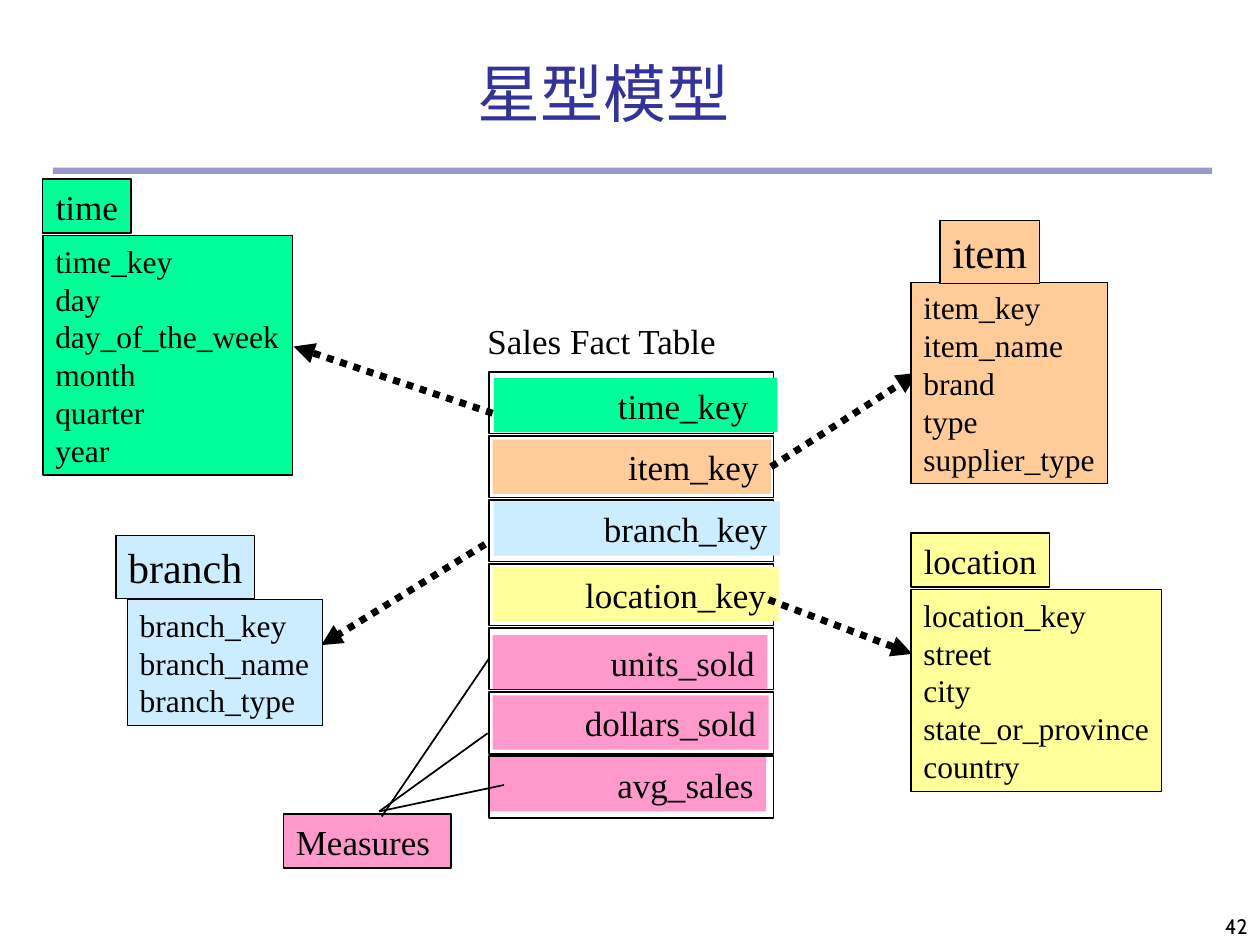
from lxml.etree import SubElement
from pptx import Presentation
from pptx.dml.color import RGBColor
from pptx.enum.dml import MSO_LINE
from pptx.enum.shapes import MSO_CONNECTOR as CONN, MSO_SHAPE as SHAPE
from pptx.enum.text import MSO_ANCHOR as ANCHOR, MSO_AUTO_SIZE as AUTO, PP_ALIGN as ALIGN
from pptx.oxml.ns import qn
from pptx.util import Inches, Pt

GREEN, ORANGE, BLUE, YELLOW, PINK = "00FF99", "FFCC99", "CCECFF", "FFFF99", "FF99CC"
BLACK, NAVY = "000000", "333399"
SERIF = "Times New Roman"

# Dimension tables: fill, fields, field box, name, name size, name box
DIMENSIONS = [
    (GREEN, ["time_key", "day", "day_of_the_week", "month", "quarter", "year"],
     (0.34, 1.87, 1.98, 1.9), "time", 20, (0.34, 1.42, 0.7, 0.43)),
    (YELLOW, ["location_key", "street", "city", "state_or_province", "country"],
     (7.23, 4.68, 1.99, 1.6), "location", 20, (7.23, 4.23, 1.1, 0.43)),
    (ORANGE, ["item_key", "item_name", "brand", "type", "supplier_type"],
     (7.23, 2.24, 1.56, 1.6), "item", 24, (7.46, 1.75, 0.79, 0.5)),
    (BLUE, ["branch_key", "branch_name", "branch_type"],
     (1.01, 4.76, 1.55, 1), "branch", 24, (0.92, 4.25, 1.1, 0.5)),
]

# Fact table rows: text, fill, bar left, top and width, right inset
FACT_ROWS = [
    ("time_key", GREEN, 3.92, 3.0, 2.25, 0.23),
    ("item_key", ORANGE, 3.91, 3.49, 2.21, 0.1),
    ("branch_key", BLUE, 3.92, 3.98, 2.27, 0.1),
    ("location_key", YELLOW, 3.91, 4.5, 2.27, 0.1),
    ("units_sold", PINK, 3.91, 5.04, 2.18, 0.1),
    ("dollars_sold", PINK, 3.91, 5.52, 2.19, 0.1),
    ("avg_sales", PINK, 3.89, 6.01, 2.19, 0.1),
]
FACT_LEFT, FACT_TOP, FACT_WIDTH, FACT_BOTTOM = 3.88, 2.95, 2.26, 6.49
ROW_H, BAR_H = 0.49, 0.43
ROW_STEP = (FACT_BOTTOM - ROW_H - FACT_TOP) / (len(FACT_ROWS) - 1)

# Links: start and end
MEASURE_LINKS = [((3.03, 6.48), (3.87, 5.23)), ((3.01, 6.44), (3.87, 5.82)),
                 ((3.01, 6.44), (4, 6.23))]
KEY_LINKS = [((3.85, 4.32), (2.55, 5.12)), ((3.91, 3.28), (2.33, 2.75)),
             ((6.1, 4.76), (7.24, 5.19)), ((6.1, 3.7), (7.28, 2.96))]

prs = Presentation()
prs.slide_width, prs.slide_height = Inches(10), Inches(7.5)
slide = prs.slides.add_slide(prs.slide_layouts[6])


def rgb(color):
    return RGBColor.from_string(color)


def add_rect(box, fill=None, line=None):
    s = slide.shapes.add_shape(SHAPE.RECTANGLE, *map(Inches, box))
    s.shadow.inherit = False
    if fill:
        s.fill.solid()
        s.fill.fore_color.rgb = rgb(fill)
    else:
        s.fill.background()
    if line:
        s.line.color.rgb = rgb(BLACK)
        s.line.width = Pt(line)
    else:
        s.line.fill.background()
    return s


def write(s, lines, size, align=ALIGN.LEFT, font=SERIF, color=BLACK, **frame):
    tf = s.text_frame
    settings = {"word_wrap": True, "auto_size": AUTO.NONE, "vertical_anchor": ANCHOR.TOP,
                "margin_left": Inches(0.1), "margin_right": Inches(0.1),
                "margin_top": Inches(0.05), "margin_bottom": Inches(0.05)}
    for name, value in {**settings, **frame}.items():
        setattr(tf, name, value)
    for i, text in enumerate(lines):
        p = tf.add_paragraph() if i else tf.paragraphs[0]
        p.alignment = align
        r = p.add_run()
        r.text = text
        r.font.name, r.font.size, r.font.color.rgb = font, Pt(size), rgb(color)


def add_text(box, *args, **kwargs):
    write(slide.shapes.add_textbox(*map(Inches, box)), *args, **kwargs)


def add_link(start, end, width, arrow=False):
    c = slide.shapes.add_connector(CONN.STRAIGHT, *map(Inches, start + end))
    c.line.color.rgb = rgb(BLACK)
    c.line.width = Pt(width)
    if arrow:
        c.line.dash_style = MSO_LINE.ROUND_DOT
        SubElement(c.line._get_or_add_ln(), qn("a:tailEnd"), type="triangle")
    SubElement(c._element.spPr, qn("a:effectLst"))
    return c


FIT = {"word_wrap": False, "auto_size": AUTO.SHAPE_TO_FIT_TEXT}
NARROW = {"margin_left": Inches(0.03), "margin_right": Inches(0.03)}

# Title, rule and page number
rule = add_rect((0.42, 1.33, 9.2, 0.05), NAVY)
SubElement(rule.fill._xPr.find(qn("a:solidFill"))[0], qn("a:alpha"), val="50000")
add_text((7.92, 7, 2.08, 0.5), ["42"], 12, ALIGN.RIGHT, "Cabin",
         vertical_anchor=ANCHOR.BOTTOM)
add_text((0.54, 0.54, 8.5, 0.54), ["星型模型"], 36, ALIGN.CENTER, color=NAVY,
         vertical_anchor=ANCHOR.BOTTOM)

# Fact table
add_text((3.77, 2.49, 2.04, 0.43), ["Sales Fact Table"], 20, **FIT)
frames, bars = {}, {}
for i, (key, fill, left, top, width, inset) in enumerate(FACT_ROWS):
    frames[key] = add_rect((FACT_LEFT, FACT_TOP + i * ROW_STEP, FACT_WIDTH, ROW_H), line=1)
    bars[key] = add_rect((left, top, width, BAR_H), fill)
    write(bars[key], [key], 20, ALIGN.RIGHT, margin_right=Inches(inset))

# Measures and links
write(add_rect((2.25, 6.46, 1.33, 0.43), PINK, 0.75), ["Measures"], 20)
measure_lines = [add_link(start, end, 1) for start, end in MEASURE_LINKS]
measure_lines[0].end_connect(frames["units_sold"], 1)
key_arrows = [add_link(start, end, 4, arrow=True) for start, end in KEY_LINKS]
key_arrows[-1].begin_connect(bars["item_key"], 3)

# Dimension tables, names centred with narrow side margins so they stay on one line
for fill, fields, field_box, name, size, name_box in DIMENSIONS:
    write(add_rect(field_box, fill, 0.75), fields, 18, **FIT)
    write(add_rect(name_box, fill, 0.75), [name], size, ALIGN.CENTER, **NARROW)

prs.save("out.pptx")
